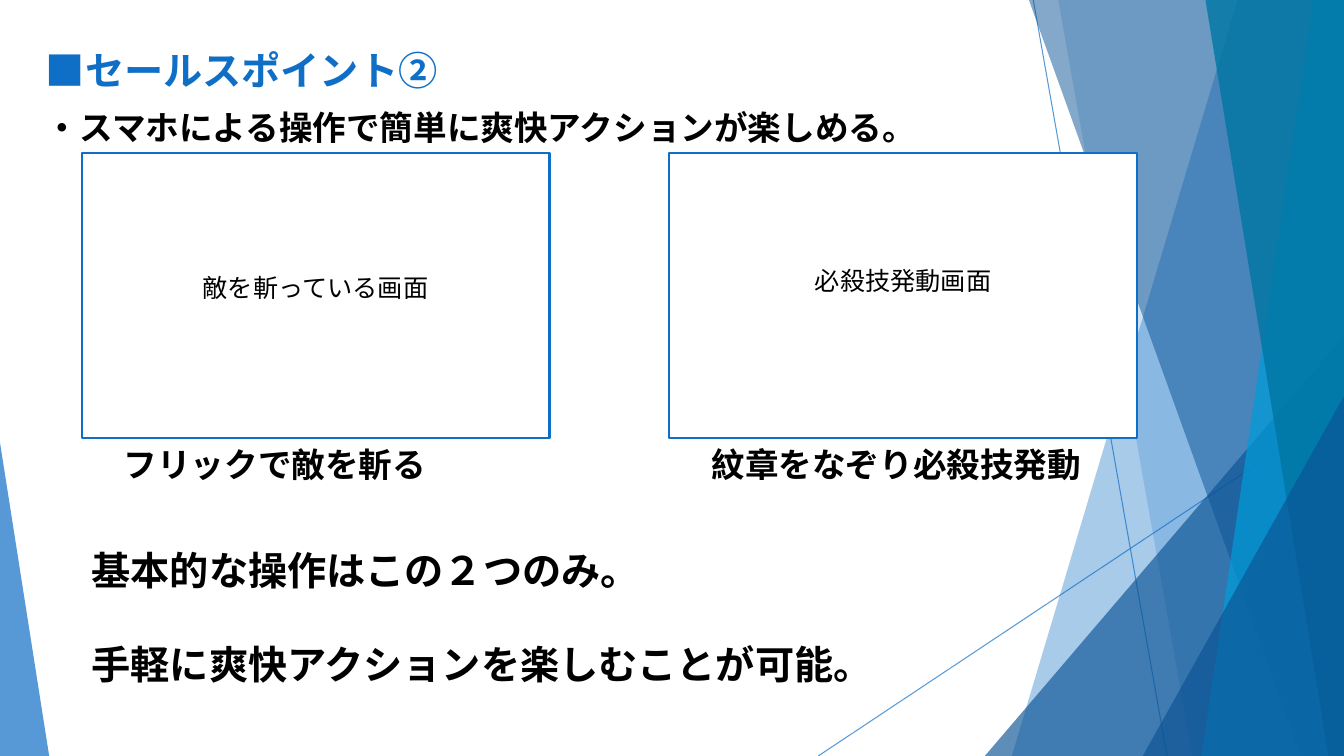
from lxml.etree import SubElement
from pptx import Presentation
from pptx.dml.color import RGBColor
from pptx.enum.shapes import MSO_CONNECTOR as Connector, MSO_SHAPE as Shape
from pptx.enum.text import PP_ALIGN as Align
from pptx.oxml.ns import qn
from pptx.util import Cm, Pt

WIDTH, HEIGHT = 33.87, 19.05
BLUE, NAVY, SKY, TEAL = "0F6FC6", "0B5394", "009DD9", "0076A3"
BLACK, WHITE = "000000", "FFFFFF"
GOTHIC, ROBOTO = "Noto Sans CJK JP", "Roboto"


def paint(color_format, color):
    color_format.rgb = RGBColor.from_string(color)


def set_opacity(element, percent):
    for color in element.iter(qn("a:srgbClr")):
        SubElement(color, qn("a:alpha"), val=str(percent * 1000))


def fill_facet(facet, color, opacity):
    facet.shadow.inherit = False
    facet.fill.solid()
    paint(facet.fill.fore_color, color)
    set_opacity(facet._element.spPr, opacity)
    facet.line.fill.background()


def add_ray(slide, x1, y1, x2, y2):
    ray = slide.shapes.add_connector(
        Connector.STRAIGHT, Cm(x1), Cm(y1), Cm(x2), Cm(y2))
    paint(ray.line.color, BLUE)
    ray.line.width = Pt(0.75)
    set_opacity(ray._element.spPr, 70)
    SubElement(ray._element.spPr, qn("a:effectLst"))


def add_band(slide, top_x, bottom_x, color, opacity):
    outline = slide.shapes.build_freeform(Cm(top_x), 0)
    corners = [(WIDTH, 0), (WIDTH, HEIGHT), (bottom_x, HEIGHT)]
    outline.add_line_segments([(Cm(x), Cm(y)) for x, y in corners])
    fill_facet(outline.convert_to_shape(), color, opacity)


def add_wedge(slide, left, top, width, apex, color, opacity):
    wedge = slide.shapes.add_shape(
        Shape.ISOSCELES_TRIANGLE, Cm(left), Cm(top), Cm(width), Cm(HEIGHT - top))
    wedge.adjustments[0] = apex
    fill_facet(wedge, color, opacity)


def add_screen(slide, left):
    screen = slide.shapes.add_shape(
        Shape.RECTANGLE, Cm(left), Cm(3.86), Cm(11.79), Cm(7.19))
    screen.shadow.inherit = False
    screen.fill.solid()
    paint(screen.fill.fore_color, WHITE)
    paint(screen.line.color, BLUE)
    screen.line.width = Pt(1.5)


def add_text(slide, left, top, width, height, lines, gap=0, bold=True, align=Align.LEFT):
    frame = slide.shapes.add_textbox(
        Cm(left), Cm(top), Cm(width), Cm(height)).text_frame
    frame.word_wrap = True
    for index, (words, size, font, color) in enumerate(lines):
        paragraph = frame.paragraphs[0] if index == 0 else frame.add_paragraph()
        paragraph.alignment = align
        if index:
            paragraph.space_before = Pt(gap)
        run = paragraph.add_run()
        run.text = words
        run.font.size = Pt(size)
        run.font.name = font
        run.font.bold = bold
        paint(run.font.color, color)


def add_backdrop(slide):
    add_ray(slide, 26.04, 0, 29.41, HEIGHT)
    add_ray(slide, WIDTH, 10.24, 20.62, HEIGHT)
    add_band(slide, 31.19, 25.5, BLUE, 36)
    add_band(slide, 26.67, 30.05, BLUE, 20)
    add_wedge(slide, 24.82, 8.46, 9.05, 1, NAVY, 66)
    add_band(slide, 25.93, 32.79, NAVY, 50)
    add_band(slide, 33.1, 30.28, SKY, 70)
    add_band(slide, 30.38, 33.48, TEAL, 80)
    add_wedge(slide, 28.8, 9.98, 5.07, 1, NAVY, 66)
    add_wedge(slide, 0, 11.15, 1.24, 0, BLUE, 70)


def main():
    deck = Presentation()
    deck.slide_width, deck.slide_height = Cm(WIDTH), Cm(HEIGHT)
    slide = deck.slides.add_slide(deck.slide_layouts[6])
    add_backdrop(slide)
    for left in (16.87, 2.06):
        add_screen(slide, left)
    add_text(slide, 0.91, 1.04, 29.95, 17.09, [
        ("■セールスポイント②", 28, GOTHIC, BLUE),
        ("・スマホによる操作で簡単に爽快アクションが楽しめる。", 24, GOTHIC, BLACK),
    ], gap=10)
    add_text(slide, 2.87, 11.05, 10.16, 1.27,
             [("フリックで敵を斬る", 24, ROBOTO, BLACK)])
    add_text(slide, 17.68, 11.05, 10.9, 1.27,
             [("紋章をなぞり必殺技発動", 24, GOTHIC, BLACK)])
    add_text(slide, 4.14, 6.73, 7.62, 1.02,
             [("敵を斬っている画面", 18, ROBOTO, BLACK)], bold=False, align=Align.CENTER)
    add_text(slide, 18.95, 6.55, 7.62, 1.02,
             [("必殺技発動画面", 18, GOTHIC, BLACK)], bold=False, align=Align.CENTER)
    add_text(slide, 2.06, 13.64, 27, 3.84, [
        ("基本的な操作はこの２つのみ。", 28, ROBOTO, BLACK),
        ("手軽に爽快アクションを楽しむことが可能。", 28, GOTHIC, BLACK),
    ], gap=33.6)
    deck.save("out.pptx")


if __name__ == "__main__":
    main()
